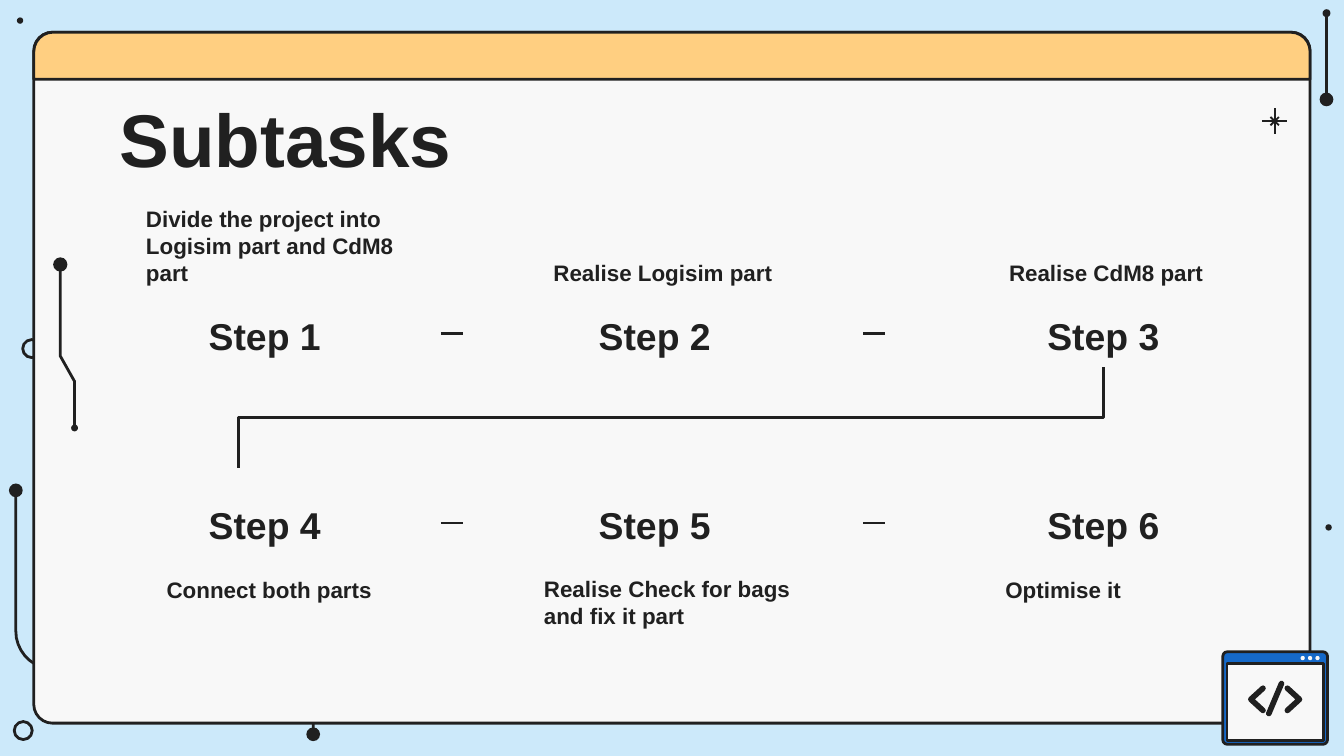
import math
from dataclasses import dataclass

import pptx
import pptx.dml.color
import pptx.enum.shapes
import pptx.enum.text
import pptx.oxml
import pptx.oxml.ns
import pptx.util

Cm = pptx.util.Cm
Shape = pptx.enum.shapes.MSO_SHAPE
Connector = pptx.enum.shapes.MSO_CONNECTOR
Anchor = pptx.enum.text.MSO_ANCHOR
Align = pptx.enum.text.PP_ALIGN

COLOURS = {
    "ink": "202020",
    "sky": "CCE9FA",
    "paper": "F8F8F8",
    "header": "FFCF81",
    "blue": "1569C9",
}
FONT = "Arial"


@dataclass
class Box:
    left: float
    top: float
    width: float
    height: float

    def point(self, x, y):
        return Cm(self.left + x), Cm(self.top + y)


def colour(name):
    return pptx.dml.color.RGBColor.from_string(COLOURS[name])


def paint(shape, fill=None, line=None, weight=1.5):
    shape.shadow.inherit = False
    if fill:
        shape.fill.solid()
        shape.fill.fore_color.rgb = colour(fill)
    else:
        shape.fill.background()
    if line:
        shape.line.color.rgb = colour(line)
        shape.line.width = pptx.util.Pt(weight)
    else:
        shape.line.fill.background()


def add_block(page, box, kind, x, y, width, height, fill, line=None, corners=()):
    shape = page.shapes.add_shape(kind, *box.point(x, y), Cm(width), Cm(height))
    for index, value in enumerate(corners):
        shape.adjustments[index] = value
    paint(shape, fill, line)


def add_circle(page, box, x, y, diameter, fill="ink", line=None):
    radius = diameter / 2
    add_block(page, box, Shape.OVAL, x - radius, y - radius, diameter, diameter, fill, line)


def add_path(page, box, points, weight=1.5):
    places = [box.point(x, y) for x, y in points]
    builder = page.shapes.build_freeform(*places[0])
    builder.add_line_segments(places[1:], close=False)
    shape = builder.convert_to_shape()
    paint(shape, line="ink", weight=weight)
    return shape


def add_link(page, box, start, end, kind=Connector.STRAIGHT, weight=1.5):
    link = page.shapes.add_connector(kind, *box.point(*start), *box.point(*end))
    link.line.color.rgb = colour("ink")
    link.line.width = pptx.util.Pt(weight)
    link._element.spPr.append(pptx.oxml.parse_xml(
        "<a:effectLst %s/>" % pptx.oxml.ns.nsdecls("a")))
    return link


def set_text(shape, text, size, align, anchor):
    frame = shape.text_frame
    frame.text = text
    frame.word_wrap = True
    frame.auto_size = pptx.enum.text.MSO_AUTO_SIZE.NONE
    frame.vertical_anchor = anchor
    frame.margin_left = frame.margin_right = Cm(0.25)
    frame.margin_top = frame.margin_bottom = Cm(0.25)
    for para in frame.paragraphs:
        para.alignment = align
        for span in para.runs:
            span.font.name = FONT
            span.font.size = pptx.util.Pt(size)
            span.font.bold = True
            span.font.color.rgb = colour("ink")


def add_label(page, box, x, y, width, height, text, size, align, anchor):
    label = page.shapes.add_textbox(*box.point(x, y), Cm(width), Cm(height))
    set_text(label, text, size, align, anchor)


def add_backdrop(page, box):
    page.background.fill.solid()
    page.background.fill.fore_color.rgb = colour("sky")
    for x, y in ((0.6, 6.59), (0.44, 13.81)):
        add_circle(page, box, x, y, 0.34, fill=None, line="ink")
    radius = 0.72
    bend = [(1.02 - radius * math.sin(math.radians(angle)),
             11.93 + radius * math.cos(math.radians(angle)))
            for angle in range(0, 91, 10)]
    add_path(page, box, [(5.92, 13.88), (5.92, 12.65), *bend, (0.3, 9.27)])
    add_link(page, box, (25.07, 1.88), (25.07, 0.25))
    for x, y, diameter in ((0.3, 9.27, 0.26), (5.92, 13.88, 0.26), (25.07, 1.88, 0.26),
                           (25.07, 0.25, 0.15), (0.38, 0.39, 0.12), (25.11, 9.97, 0.12)):
        add_circle(page, box, x, y, diameter)


def add_window(page, box):
    add_block(page, box, Shape.ROUNDED_RECTANGLE, 0, 0, box.width, box.height,
              "paper", "ink", (0.027,))
    add_block(page, box, Shape.ROUND_2_SAME_RECTANGLE, 0, 0, box.width, 0.89,
              "header", "ink", (0.41, 0))


def add_sparkle(page, box):
    middle = box.width / 2
    for dx, dy in ((0, middle), (middle, 0), (0.08, 0.08), (0.08, -0.08)):
        add_link(page, box, (middle - dx, middle - dy), (middle + dx, middle + dy), weight=1)


def add_circuit(page, box):
    add_path(page, box, [(0, 0), (0, 1.73), (box.width, 2.21), (box.width, box.height)])
    add_circle(page, box, 0, 0, 0.27)
    add_circle(page, box, box.width, box.height, 0.13)


def add_code_badge(page, box):
    add_block(page, box, Shape.ROUNDED_RECTANGLE, 0, 0, box.width, box.height,
              "blue", "ink", (0.05,))
    add_block(page, box, Shape.RECTANGLE, 0.08, 0.23, 1.82, 1.45, "paper", "ink")
    for index in range(3):
        add_circle(page, box, 1.51 + 0.14 * index, 0.12, 0.08, "paper")
    for stroke in ([(0.76, 0.69), (0.53, 0.9), (0.76, 1.11)],
                   [(1.22, 0.69), (1.45, 0.9), (1.22, 1.11)],
                   [(1.11, 0.6), (0.87, 1.17)]):
        add_path(page, box, stroke, 3).line._get_or_add_ln().set("cap", "rnd")


def add_title(page, box):
    title = page.shapes.title
    title.left, title.top = box.point(0, 0)
    title.width, title.height = Cm(box.width), Cm(box.height)
    set_text(title, "Subtasks", 40, Align.LEFT, Anchor.TOP)
    page.shapes._spTree.append(title._element)


def add_turn(page, box, start, end):
    middle_x, middle_y = (start[0] + end[0]) / 2, (start[1] + end[1]) / 2
    half_drop, half_run = (end[1] - start[1]) / 2, (start[0] - end[0]) / 2
    turn = add_link(page, box, (middle_x - half_drop, middle_y - half_run),
                    (middle_x + half_drop, middle_y + half_run), Connector.ELBOW)
    turn._element.spPr.find(pptx.oxml.ns.qn("a:xfrm")).set("rot", "5400000")


def add_steps(page, box):
    columns, rows = (0, 7.37, 15.85), (0.84, 4.42)
    width, height = 5.03, 1.27
    for row, y in enumerate(rows):
        for column, x in enumerate(columns):
            add_label(page, box, x, y, width, height, f"Step {row * 3 + column + 1}",
                      20, Align.CENTER, Anchor.TOP)
        for x in (5.84, 13.82):
            add_link(page, box, (x, y + height / 2), (x + 0.42, y + height / 2))
    for x, y, label_width, text in (
            (0.02, -0.02, 5.64, "Divide the project into Logisim part and CdM8 part"),
            (7.72, -0.02, 5.03, "Realise Logisim part"),
            (16.33, -0.02, 5.03, "Realise CdM8 part"),
            (0.41, 5.97, 5.64, "Connect both parts"),
            (7.54, 6.47, 7.24, "Realise Check for bags\nand fix it part"),
            (16.26, 5.97, 5.03, "Optimise it")):
        add_label(page, box, x, y, label_width, 0.84, text, 12, Align.LEFT, Anchor.BOTTOM)
    add_turn(page, box, (columns[2] + width / 2, rows[0] + height), (2.01, 4.01))


def main():
    deck = pptx.Presentation()
    deck.slide_width, deck.slide_height = Cm(25.4), Cm(14.29)
    page = deck.slides.add_slide(deck.slide_layouts[5])
    add_backdrop(page, Box(0, 0, 25.4, 14.29))
    add_window(page, Box(0.64, 0.61, 24.12, 13.06))
    add_sparkle(page, Box(23.85, 2.05, 0.48, 0.48))
    add_circuit(page, Box(1.14, 5, 0.27, 3.09))
    add_code_badge(page, Box(23.11, 12.32, 1.98, 1.75))
    add_title(page, Box(2.01, 1.5, 21.41, 1.6))
    add_steps(page, Box(2.49, 4.83, 21.4, 7.31))
    deck.save("out.pptx")


if __name__ == "__main__":
    main()
